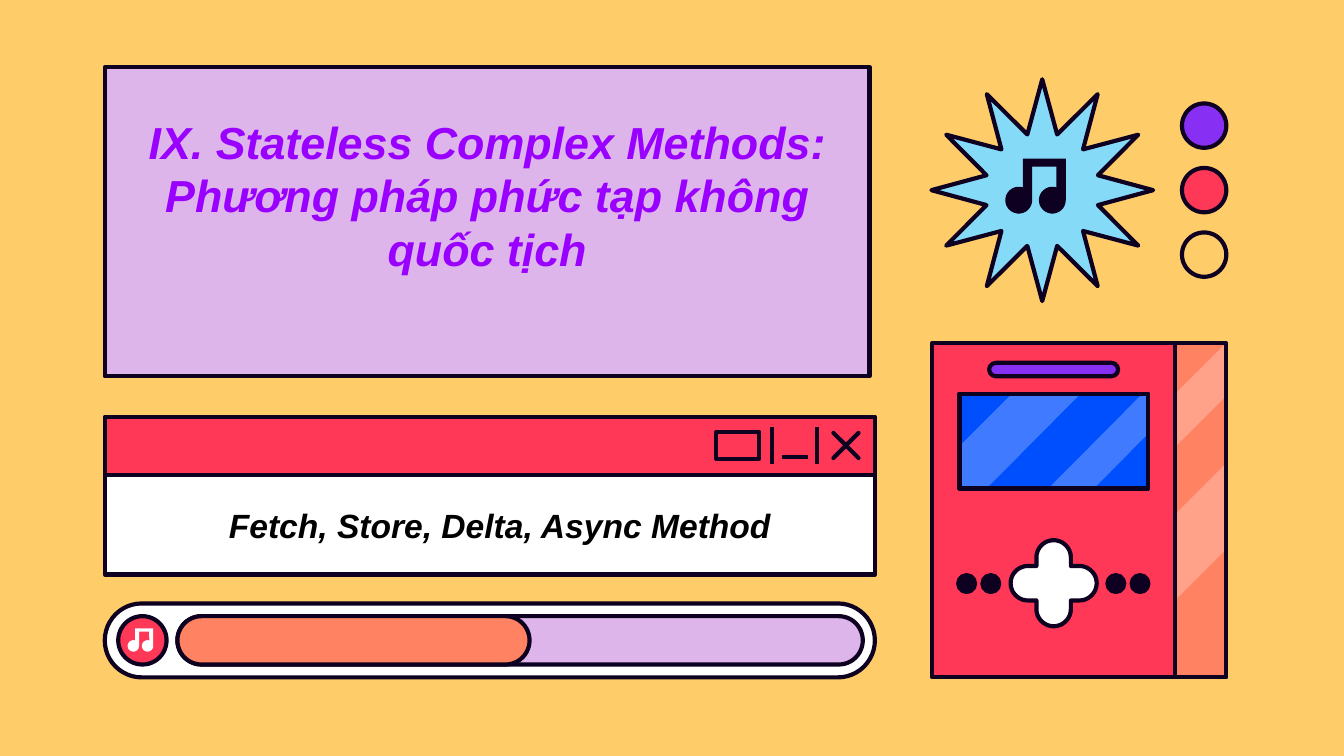
from math import cos, radians, sin

from lxml.etree import SubElement
from pptx import Presentation
from pptx.dml.color import RGBColor
from pptx.enum.shapes import MSO_CONNECTOR as Connector, MSO_SHAPE as Preset
from pptx.enum.text import MSO_ANCHOR as Anchor, MSO_AUTO_SIZE as AutoSize, PP_ALIGN as Align
from pptx.oxml.ns import qn
from pptx.util import Inches, Pt

# The grid has square cells, 100 columns across a 16:9 page.
CELL = Inches(0.1)
COLUMNS = 100
ROWS = COLUMNS * 9 / 16
LINE_WIDTH = Pt(2.25)
COLORS = {
    "sand": "FFCC6A",
    "ink": "0E0020",
    "lilac": "DEB5EB",
    "red": "FF3858",
    "orange": "FF8362",
    "sky": "84DAF7",
    "blue": "004FFF",
    "purple": "872FF2",
    "violet": "9900FF",
    "white": "FFFFFF",
    "black": "000000",
}


def color(name):
    return RGBColor.from_string(COLORS[name])


def cells(*counts):
    return [round(count * CELL) for count in counts]


def paint(shape, fill=None, outlined=True, opacity=None):
    if fill:
        shape.fill.solid()
        shape.fill.fore_color.rgb = color(fill)
        if opacity is not None:
            tint = shape._element.spPr.find(qn("a:solidFill"))[0]
            SubElement(tint, qn("a:alpha"), val=str(opacity * 1000))
    else:
        shape.fill.background()
    if outlined:
        shape.line.color.rgb = color("ink")
        shape.line.width = LINE_WIDTH
    else:
        shape.line.fill.background()


def add_preset(page, preset, place, fill=None, adjust=None):
    shape = page.shapes.add_shape(preset, *cells(*place))
    shape.shadow.inherit = False
    if adjust is not None:
        shape.adjustments[0] = adjust
    paint(shape, fill)


def add_outline(page, points, fill, **style):
    corners = [cells(*point) for point in points]
    builder = page.shapes.build_freeform(*corners[0])
    builder.add_line_segments(corners[1:], close=True)
    shape = builder.convert_to_shape()
    shape.shadow.inherit = False
    paint(shape, fill, **style)


def add_line(page, *ends):
    line = page.shapes.add_connector(Connector.STRAIGHT, *cells(*ends))
    line.line.color.rgb = color("ink")
    line.line.width = LINE_WIDTH
    SubElement(line._element.spPr, qn("a:effectLst"))


def fill_placeholder(box, text, place, *, fill, size, ink, left=1, bottom=1):
    box.left, box.top, box.width, box.height = cells(*place)
    paint(box, fill)
    frame = box.text_frame
    frame.word_wrap = True
    frame.auto_size = AutoSize.NONE
    frame.vertical_anchor = Anchor.MIDDLE
    frame.margin_left, frame.margin_top, frame.margin_right, frame.margin_bottom = cells(
        left, 1, 1, bottom)
    para = frame.paragraphs[0]
    para.alignment = Align.CENTER
    para.line_spacing = 1.0
    para.space_before = Pt(0)
    span = para.add_run()
    span.text = text
    span.font.name = "Arial"
    span.font.size = Pt(size)
    span.font.bold = span.font.italic = True
    span.font.color.rgb = color(ink)


def arc(x, y, radius, start, end, steps=24):
    """Points along a circle; angles in degrees, clockwise from the right."""
    angles = [radians(start + (end - start) * step / steps) for step in range(steps + 1)]
    return [(x + radius * cos(angle), y + radius * sin(angle)) for angle in angles]


def add_music_note(page, left, top, width, fill):
    """Two beamed notes, designed on a 4.5 by 4.1 field and scaled to the width."""
    points = [(1.3, 0), *arc(1, 3.1, 1, -72, -360), (2, 0.6), (3.8, 0.6),
              *arc(3.5, 3.1, 1, -72, -360), (4.5, 0)]
    scale = width / 4.5
    add_outline(page, [(left + x * scale, top + y * scale) for x, y in points],
                fill, outlined=False)


def add_cross_button(page, x, y, reach, radius):
    points = []
    for angle in (-90, 0, 90, 180):
        cap = arc(x, y, reach - radius, angle, angle, 1)[0]
        points += arc(*cap, radius, angle - 90, angle + 90)
        points += arc(x, y, radius * 2 ** 0.5, angle + 45, angle + 45, 1)[:1]
    add_outline(page, points, "white")


def add_shine(page, points):
    add_outline(page, points, "white", outlined=False, opacity=25)


def add_window_bar(page):
    add_preset(page, Preset.RECTANGLE, (7.8, 31, 57.3, 4.35), "red")
    add_preset(page, Preset.RECTANGLE, (53.3, 32.15, 3.2, 2), "red")
    add_line(page, 58.2, 34, 60.1, 34)
    for x in (57.45, 60.8):
        add_line(page, x, 31.8, x, 34.5)
    add_preset(page, Preset.MATH_MULTIPLY, (61.15, 31.35, 3.6, 3.6), adjust=0)


def add_console(page):
    side = (73.1, 25.55, 18.1, 24.85)
    add_preset(page, Preset.RECTANGLE, side, "orange")
    add_shine(page, [(91.2, 25.55), (73.1, 43.6), (73.1, 47.6), (91.2, 29.5)])
    add_shine(page, [(91.2, 34.5), (79.1, 46.6), (85.5, 46.6), (91.2, 40.9)])
    add_preset(page, Preset.RECTANGLE, side)
    add_preset(page, Preset.RECTANGLE, (69.35, 25.55, 18.1, 24.85), "red")

    screen = (71.4, 29.3, 14, 7.05)
    add_preset(page, Preset.RECTANGLE, screen, "blue")
    add_shine(page, [(75.3, 29.3), (71.4, 33.2), (71.4, 36.35), (73.4, 36.35), (80.4, 29.3)])
    add_shine(page, [(85, 29.3), (78, 36.35), (81.4, 36.35), (85.4, 32.3), (85.4, 29.3)])
    add_preset(page, Preset.RECTANGLE, screen)

    add_preset(page, Preset.ROUNDED_RECTANGLE, (73.6, 27, 9.6, 1), "purple", adjust=0.5)
    add_cross_button(page, 78.4, 43.4, reach=3.2, radius=1.28)
    for x in (71.3, 73.1, 82.4, 84.2):
        add_preset(page, Preset.OVAL, (x, 42.8, 1.25, 1.25), "ink")


def add_player(page):
    tracks = [((7.8, 44.9, 57.3, 5.5), "white"),
              ((13.2, 45.85, 51, 3.6), "lilac"),
              ((13.2, 45.85, 26.2, 3.6), "orange")]
    for place, fill in tracks:
        add_preset(page, Preset.ROUNDED_RECTANGLE, place, fill, adjust=0.5)
    add_preset(page, Preset.OVAL, (8.8, 45.85, 3.6, 3.6), "red")
    add_music_note(page, 9.5, 46.75, 1.9, "white")


def main():
    deck = Presentation()
    deck.slide_width, deck.slide_height = cells(COLUMNS, ROWS)
    page = deck.slides.add_slide(deck.slide_layouts[0])
    page.background.fill.solid()
    page.background.fill.fore_color.rgb = color("sand")

    title, subtitle = page.placeholders
    fill_placeholder(title,
                     "IX. Stateless Complex Methods: Phương pháp phức tạp không quốc tịch",
                     (7.8, 5, 56.9, 23), fill="lilac", size=24, ink="violet", bottom=5)
    fill_placeholder(subtitle, "Fetch, Store, Delta, Async Method",
                     (7.8, 35.35, 57.3, 7.4), fill="white", size=18, ink="black", left=2.5)

    add_window_bar(page)
    add_preset(page, Preset.STAR_12_POINT, (69.3, 5.9, 16.5, 16.5), "sky", adjust=0.26)
    add_music_note(page, 74.8, 11.8, 4.5, "ink")
    add_console(page)
    add_player(page)
    for row, fill in enumerate(("purple", "red", "sand")):
        add_preset(page, Preset.OVAL, (87.95, 7.7 + 4.8 * row, 3.3, 3.3), fill)

    deck.save("out.pptx")


if __name__ == "__main__":
    main()
